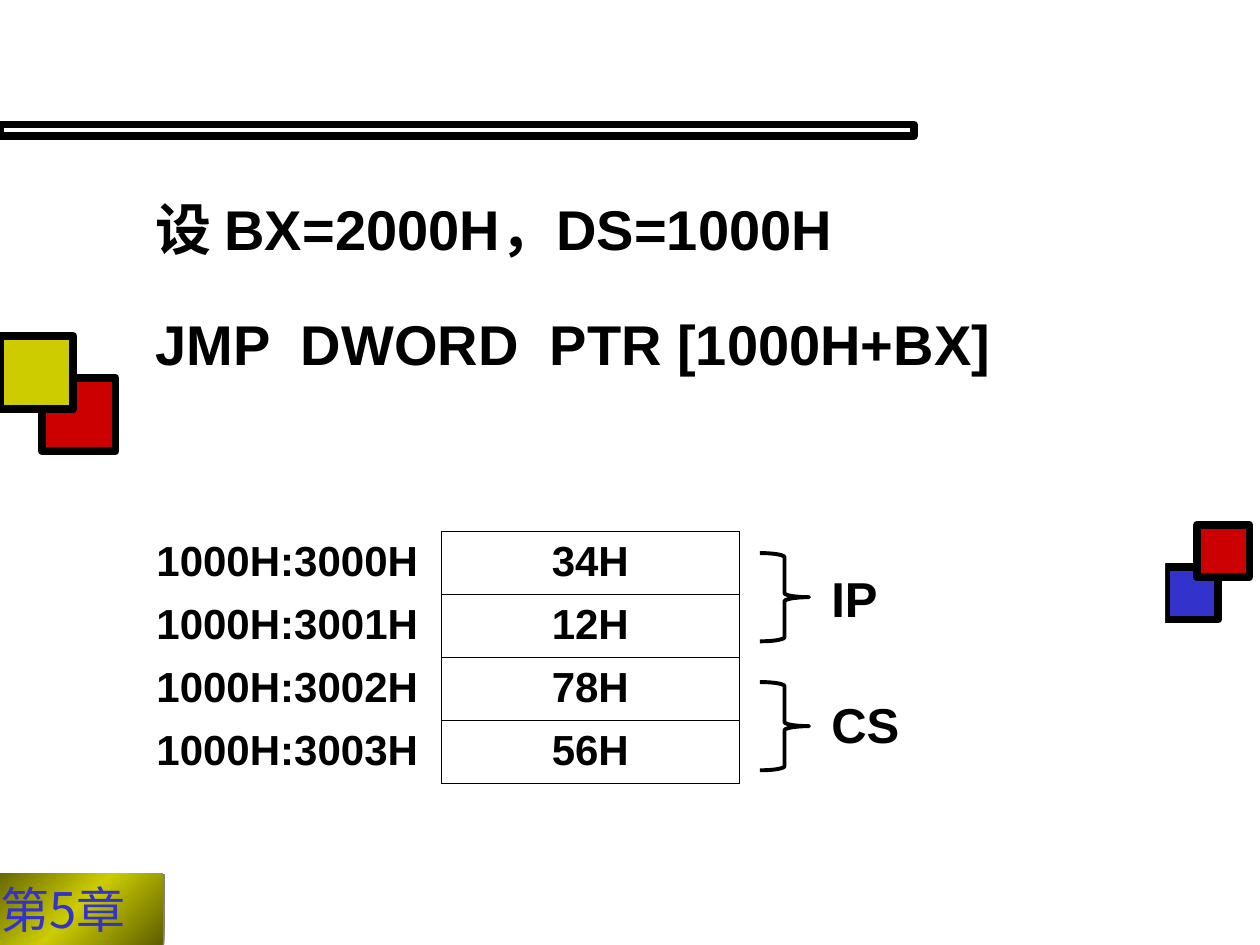
from dataclasses import dataclass

import pptx
import pptx.dml.color
import pptx.enum.shapes
import pptx.enum.text
import pptx.oxml
import pptx.oxml.ns
import pptx.util
from pptx.util import Cm

Shapes = pptx.enum.shapes.MSO_SHAPE
Align = pptx.enum.text.PP_ALIGN


@dataclass(frozen=True)
class Theme:
    black: str = "000000"
    white: str = "FFFFFF"
    red: str = "CC0000"
    yellow: str = "CCCC00"
    olive: str = "5E5E00"
    blue: str = "3333CC"
    gray: str = "808080"
    latin: str = "Arial"
    chinese: str = "Noto Sans CJK JP"
    heading: float = 32
    label: float = 28
    cell: float = 24
    frame_width: float = 4.5
    brace_width: float = 2.25
    border_width: float = 0.45


THEME = Theme()
MEMORY = [
    ("1000H:3000H", "34H"),
    ("1000H:3001H", "12H"),
    ("1000H:3002H", "78H"),
    ("1000H:3003H", "56H"),
]


def rgb(color):
    return pptx.dml.color.RGBColor.from_string(color)


def drawing_xml(content):
    """Parse one DrawingML element given without its namespace declaration."""
    tag, rest = content[:content.index(">")], content[content.index(">"):]
    if tag.endswith("/"):
        tag, rest = tag[:-1], "/" + rest
    return pptx.oxml.parse_xml(f"{tag} {pptx.oxml.ns.nsdecls('a')}{rest}")


def solid(color):
    return f'<a:solidFill><a:srgbClr val="{color}"/></a:solidFill>'


def write_text(frame, text, size=THEME.label, color=THEME.black, bold=True,
               font=THEME.latin, align=Align.LEFT, line_spacing=None, space_before=0):
    """Write each line of text as one paragraph."""
    for index, line in enumerate(text.split("\n")):
        paragraph = frame.add_paragraph() if index else frame.paragraphs[0]
        paragraph.alignment = align
        paragraph.line_spacing = line_spacing
        if index:
            paragraph.space_before = pptx.util.Pt(space_before)
        run = paragraph.add_run()
        run.text = line
        run.font.size = pptx.util.Pt(size)
        run.font.bold = bold
        run.font.name = font
        run.font.color.rgb = rgb(color)
        run.font.fill._xPr.append(drawing_xml(f'<a:ea typeface="{THEME.chinese}"/>'))


def add_shape(slide, kind, left, top, width, height, fill=None, line_width=0):
    shape = slide.shapes.add_shape(kind, Cm(left), Cm(top), Cm(width), Cm(height))
    shape.shadow.inherit = False
    if fill:
        shape.fill.solid()
        shape.fill.fore_color.rgb = rgb(fill)
    else:
        shape.fill.background()
    if line_width:
        shape.line.color.rgb = rgb(THEME.black)
        shape.line.width = pptx.util.Pt(line_width)
    else:
        shape.line.fill.background()
    return shape


def add_frames(slide):
    """Add the bar and the two pairs of overlapping squares."""
    frames = [
        (0, 2.51, 18.42, 0.23, None),
        (23.5, 11.43, 1.06, 1.06, THEME.blue),
        (24.13, 10.58, 1.06, 1.06, THEME.red),
        (0.85, 7.62, 1.48, 1.48, THEME.red),
        (0, 6.77, 1.48, 1.48, THEME.yellow),
    ]
    for left, top, width, height, fill in frames:
        add_shape(slide, Shapes.RECTANGLE, left, top, width, height, fill, THEME.frame_width)


def add_chapter_tag(slide):
    tag = add_shape(slide, Shapes.RECTANGLE, -0.23, 17.6, 3.51, 1.45)
    tag.fill.gradient()
    tag.fill.gradient_angle = 315
    stops = tag.fill._xPr.find(".//" + pptx.oxml.ns.qn("a:gsLst"))
    for stop in list(stops):
        stops.remove(stop)
    for position, color in ((0, THEME.olive), (50, THEME.yellow), (100, THEME.olive)):
        stops.append(drawing_xml(
            f'<a:gs pos="{position * 1000}"><a:srgbClr val="{color}"/></a:gs>'))
    effects = tag._element.spPr.find(pptx.oxml.ns.qn("a:effectLst"))
    effects.append(drawing_xml(
        f'<a:outerShdw dist="{pptx.util.Pt(1.4)}" dir="2700000" algn="ctr">'
        f'<a:srgbClr val="{THEME.gray}"/></a:outerShdw>'))
    tag.text_frame.word_wrap = False
    write_text(tag.text_frame, "第5章", color=THEME.blue, bold=False, font=THEME.chinese)


def add_problem(slide):
    panel = add_shape(slide, Shapes.RECTANGLE, 2.59, 3.12, 20.9, 13.44, THEME.white)
    frame = panel.text_frame
    frame.word_wrap = True
    frame.vertical_anchor = pptx.enum.text.MSO_ANCHOR.TOP
    frame.margin_left = Cm(0.55)
    write_text(frame, "设 BX=2000H，DS=1000H\nJMP  DWORD  PTR [1000H+BX]",
               size=THEME.heading, align=Align.JUSTIFY, line_spacing=1.5, space_before=8)


def set_borders(cell, **visible):
    """Draw the named sides and hide the others."""
    properties = cell._tc.get_or_add_tcPr()
    for index, side in enumerate(("L", "R", "T", "B")):
        paint = solid(THEME.black) if visible.get(side) else "<a:noFill/>"
        width = pptx.util.Pt(THEME.border_width)
        properties.insert(index, drawing_xml(f'<a:ln{side} w="{width}">{paint}</a:ln{side}>'))


def add_memory_table(slide):
    table = slide.shapes.add_table(
        len(MEMORY), 2, Cm(2.9), Cm(10.72), Cm(12), Cm(5.08)).table
    table.first_row = table.horz_banding = False
    for row, (address, value) in enumerate(MEMORY):
        for column, text in enumerate((address, value)):
            cell = table.cell(row, column)
            cell.fill.solid()
            cell.fill.fore_color.rgb = rgb(THEME.white)
            boxed = column == 1
            set_borders(cell, L=boxed, R=True, T=boxed, B=boxed)
            write_text(cell.text_frame, text, size=THEME.cell,
                       align=Align.CENTER if boxed else Align.LEFT)


def add_register(slide, name, label_top, brace_top):
    box = slide.shapes.add_textbox(Cm(16.51), Cm(label_top), Cm(3.18), Cm(1.45))
    box.text_frame.word_wrap = True
    write_text(box.text_frame, name)
    add_shape(slide, Shapes.RIGHT_BRACE, 15.32, brace_top, 0.99, 1.78,
              THEME.white, THEME.brace_width)


def main():
    presentation = pptx.Presentation()
    presentation.slide_width, presentation.slide_height = Cm(25.4), Cm(19.05)
    slide = presentation.slides.add_slide(presentation.slide_layouts[6])
    add_frames(slide)
    add_chapter_tag(slide)
    add_problem(slide)
    add_memory_table(slide)
    add_register(slide, "IP", label_top=11.33, brace_top=11.15)
    add_register(slide, "CS", label_top=13.87, brace_top=13.75)
    presentation.save("out.pptx")


if __name__ == "__main__":
    main()
